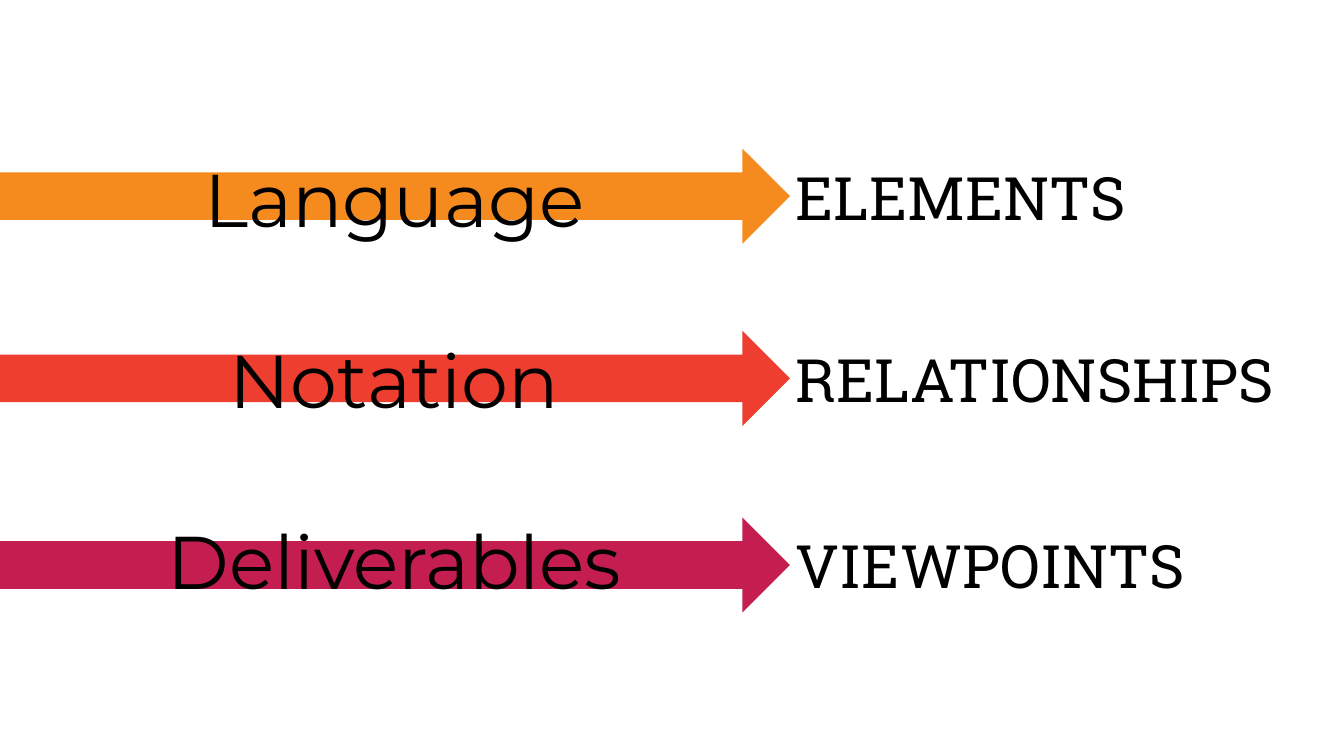
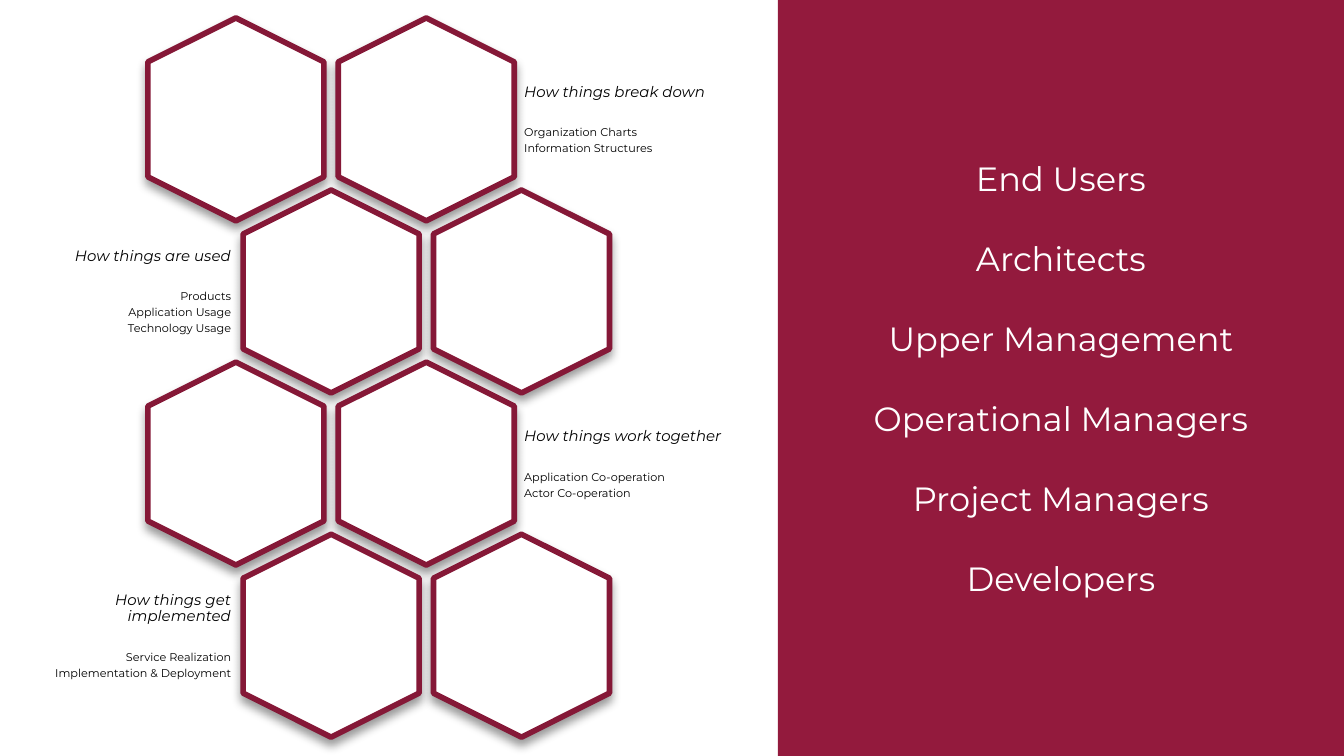
from lxml import etree
from pptx import Presentation
from pptx.dml.color import RGBColor
from pptx.enum import shapes, text
from pptx.oxml import ns
from pptx.util import Pt

HUES = {
    "orange": "F58B1F", "red": "EE3E30", "pink": "C41E51",
    "wine": "931A3D", "edge": "851837", "white": "FFFFFF", "black": "000000",
}
SANS, SLAB = "Montserrat", "Roboto Slab"
KIND = shapes.MSO_SHAPE
LEFT, MID, RIGHT = text.PP_ALIGN.LEFT, text.PP_ALIGN.CENTER, text.PP_ALIGN.RIGHT
WIDE, HIGH = 720, 405


class Deck:
    def __init__(self):
        self.file = Presentation()
        self.file.slide_width, self.file.slide_height = Pt(WIDE), Pt(HIGH)
        self.page = None

    def next(self):
        self.page = self.file.slides.add_slide(self.file.slide_layouts[6])

    def shape(self, kind, x, y, w, h, fill, line=None):
        item = self.page.shapes.add_shape(kind, Pt(x), Pt(y), Pt(w), Pt(h))
        item.shadow.inherit = False
        item.fill.solid()
        item.fill.fore_color.rgb = RGBColor.from_string(HUES[fill])
        if line:
            item.line.color.rgb = RGBColor.from_string(HUES[line])
            item.line.width = Pt(3)
        else:
            item.line.fill.background()
        return item

    def shade(self, item):
        """Add a soft shadow that falls straight down."""
        box = item._element.spPr.find(ns.qn("a:effectLst"))
        cast = etree.SubElement(
            box, ns.qn("a:outerShdw"), blurRad=str(Pt(5.2)), dist=str(Pt(3)),
            dir="5400000", rotWithShape="0")
        hue = etree.SubElement(cast, ns.qn("a:srgbClr"), val=HUES["black"])
        etree.SubElement(hue, ns.qn("a:alpha"), val="40000")

    def hexagon(self, x, y, w, h):
        item = self.shape(KIND.HEXAGON, x, y, w, h, "white", "edge")
        item.adjustments[0] = 0.25
        item.rotation = 90
        self.shade(item)

    def box(self, x, y, w, h, inset=None):
        frame = self.page.shapes.add_textbox(Pt(x), Pt(y), Pt(w), Pt(h)).text_frame
        if inset is not None:
            frame.margin_left = frame.margin_right = Pt(inset)
            frame.margin_top = frame.margin_bottom = Pt(inset)
        return frame

    def lines(self, frame, words, align):
        """Yield an aligned paragraph with each line of words."""
        frame.word_wrap = True
        frame.vertical_anchor = text.MSO_ANCHOR.MIDDLE
        for i, line in enumerate(words):
            para = frame.add_paragraph() if i else frame.paragraphs[0]
            para.alignment = align
            yield i, para, line

    def run(self, para, words, size, face, hue, slant=False):
        run = para.add_run()
        run.text = words
        run.font.size, run.font.name, run.font.italic = Pt(size), face, slant
        run.font.color.rgb = RGBColor.from_string(HUES[hue])

    def list(self, frame, words, size, face=SANS, hue="black", align=LEFT, gap=0):
        """Fill a frame with one paragraph per line, gap points apart."""
        for i, para, line in self.lines(frame, words, align):
            if i:
                para.space_before = Pt(gap)
            self.run(para, line, size, face, hue)

    def note(self, x, y, w, h, head, items, align):
        """Add an italic heading with small lines under it."""
        frame = self.box(x, y, w, h, 2)
        for i, para, line in self.lines(frame, [head] + items, align):
            para.line_spacing = 0.9
            para.space_after = Pt(2.1 if i else 14.4)
            self.run(para, line, 6 if i else 8, SANS, "black", i == 0)


def arrows(deck):
    rows = [
        (277.2, "pink", "VIEWPOINTS"),
        (177.2, "red", "RELATIONSHIPS"),
        (79.6, "orange", "ELEMENTS"),
    ]
    deck.next()
    for y, hue, word in rows:
        deck.shape(KIND.RIGHT_ARROW, 0, y, 423.2, 51, hue)
        deck.list(deck.box(419.2, y + 2.5, 300, 46), [word], 32, SLAB)
    deck.list(deck.box(64, 10.5, 294.5, 385),
              ["Language", "Notation", "Deliverables"], 40, align=MID, gap=49)


def views(deck):
    rows = [
        ("How things break down", ["Organization Charts", "Information Structures"]),
        ("How things are used", ["Products", "Application Usage", "Technology Usage"]),
        ("How things work together", ["Application Co-operation", "Actor Co-operation"]),
        ("How things get implemented",
         ["Service Realization", "Implementation & Deployment"]),
    ]
    users = ["End Users", "Architects", "Upper Management",
             "Operational Managers", "Project Managers", "Developers"]
    w, h, step, pitch = 108.7, 94.3, 102, 92.2
    deck.next()
    panel = deck.shape(KIND.RECTANGLE, 416.8, 0, WIDE - 416.8, HIGH, "wine")
    deck.list(panel.text_frame, users, 18, hue="white", align=MID, gap=21.3)
    for i, (head, items) in enumerate(rows):
        y = 16.8 + i * pitch
        if i % 2:
            near, far = 72 + step / 2, 72 + step * 1.5
            spot, wide, align = 8.6, 117.2, RIGHT
        else:
            near, far = 72 + step, 72
            spot, wide, align = 278.8, 121, LEFT
        deck.hexagon(near, y, w, h)
        deck.note(spot, y + 14.6, wide, 65.5, head, items, align)
        deck.hexagon(far, y, w, h)


def main():
    deck = Deck()
    arrows(deck)
    views(deck)
    deck.file.save("out.pptx")


if __name__ == "__main__":
    main()
